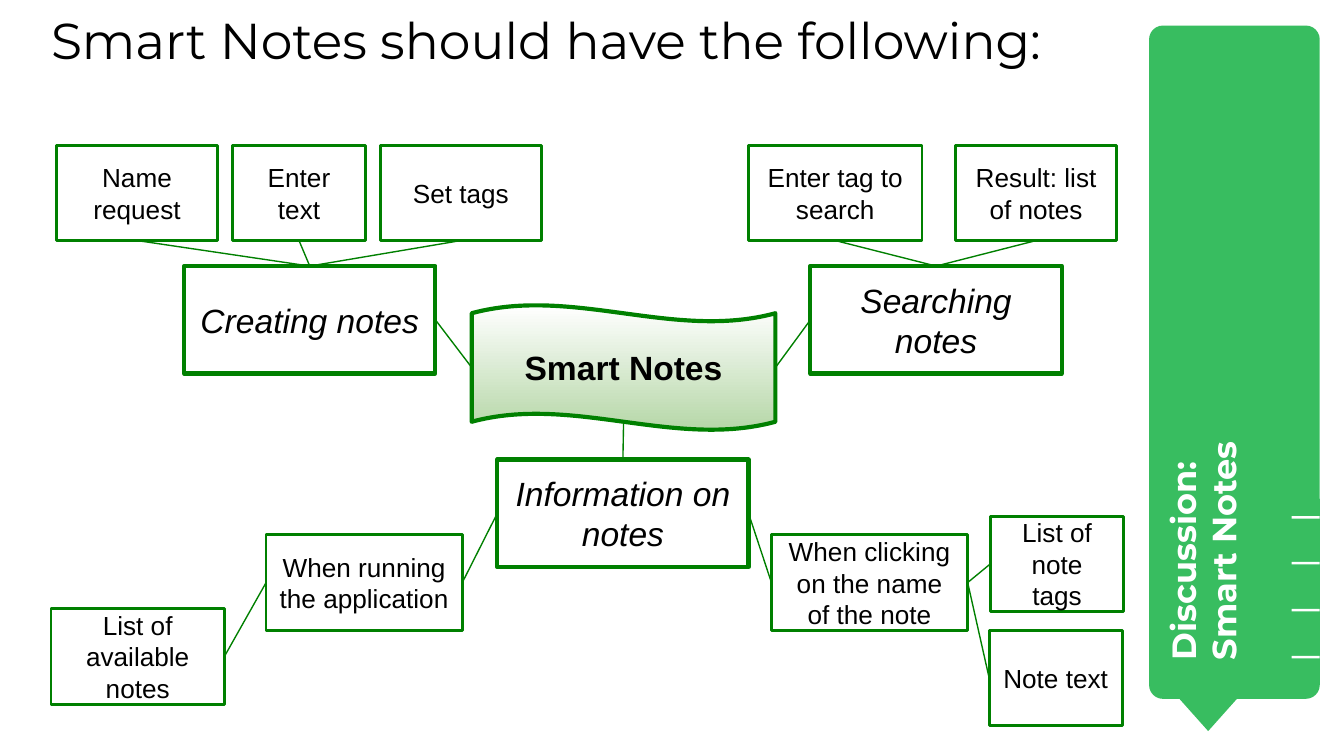
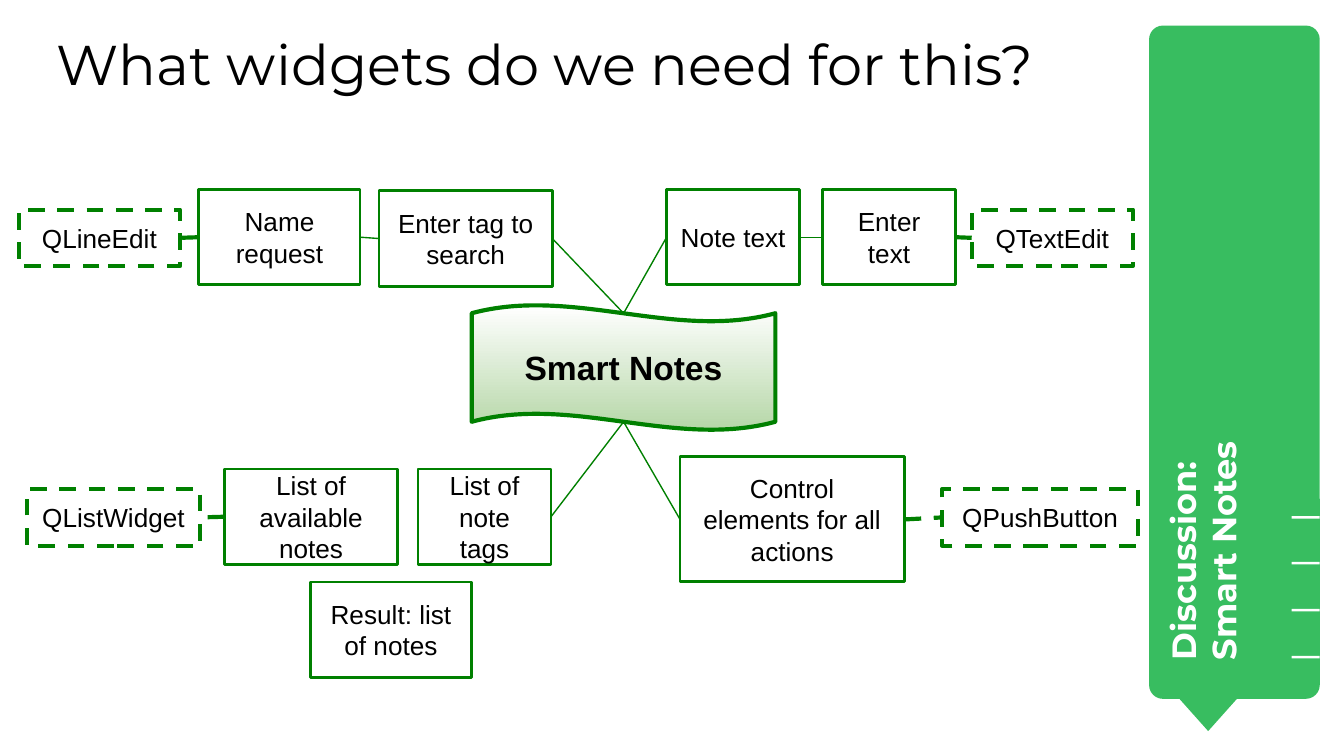
from collections import namedtuple
from dataclasses import dataclass

from lxml import etree
from pptx import Presentation
from pptx.dml.color import RGBColor
from pptx.enum.dml import MSO_LINE
from pptx.enum.shapes import MSO_CONNECTOR, MSO_SHAPE
from pptx.enum.text import MSO_ANCHOR, PP_ALIGN
from pptx.oxml.ns import qn
from pptx.util import Pt

RECT, WAVE = MSO_SHAPE.RECTANGLE, MSO_SHAPE.WAVE
ROUNDED, MERGE = MSO_SHAPE.ROUNDED_RECTANGLE, MSO_SHAPE.FLOWCHART_MERGE
STRAIGHT, DASH = MSO_CONNECTOR.STRAIGHT, MSO_LINE.DASH
LEFT_ALIGN, CENTER = PP_ALIGN.LEFT, PP_ALIGN.CENTER
TOP_ANCHOR, MIDDLE = MSO_ANCHOR.TOP, MSO_ANCHOR.MIDDLE
TOP, LEFT, BOTTOM, RIGHT = range(4)
EMU_PER_PX = 9144


@dataclass(frozen=True)
class Theme:
    band: RGBColor = RGBColor.from_string("38BD60")
    outline: RGBColor = RGBColor.from_string("008000")
    hub_tint: RGBColor = RGBColor.from_string("B6D7A8")
    paper: RGBColor = RGBColor.from_string("FFFFFF")
    ink: RGBColor = RGBColor.from_string("000000")
    heading_font: str = "Montserrat"
    body_font: str = "Arial"
    topic_size: int = 18
    leaf_size: int = 14
    thick: float = 2.25
    medium: float = 1.5
    thin: float = 0.75


THEME = Theme()
Style = namedtuple("Style", "size weight italic dash")
TOPIC = Style(THEME.topic_size, THEME.thick, True, None)
LEAF = Style(THEME.leaf_size, THEME.medium, False, None)
WIDGET = Style(THEME.leaf_size, THEME.thick, False, DASH)

LEAF_HEIGHT, WIDGET_HEIGHT = 71, 42
TOPIC_WIDTH, TOPIC_HEIGHT = 187, 80
NARROW, REGULAR, WIDE, BROAD = 99, 120, 129, 146
WAVE_DEPTH = 0.066


@dataclass(frozen=True)
class Box:
    left: int
    top: int
    width: int
    height: int

    def inner(self, x, y, width, height):
        return Box(self.left + x, self.top + y, width, height)

    def emu(self):
        return [px(v) for v in (self.left, self.top, self.width, self.height)]


SIDEBAR = Box(855, 19, 127, 525)
HUB = Box(351, 227, 226, 93)


def px(length):
    return int(length * EMU_PER_PX)


def set_text(frame, text, size, font=THEME.body_font, color=THEME.ink,
             align=CENTER, anchor=MIDDLE, margin=10, bold=False, italic=False):
    frame.text = text
    frame.word_wrap = True
    frame.vertical_anchor = anchor
    frame.margin_left = frame.margin_right = px(margin)
    frame.margin_top = frame.margin_bottom = px(margin)
    for paragraph in frame.paragraphs:
        paragraph.alignment = align
        for run in paragraph.runs:
            run.font.name = font
            run.font.size = Pt(size)
            run.font.bold = bold
            run.font.italic = italic
            run.font.color.rgb = color


def set_line(line, weight, dash=None):
    line.color.rgb = THEME.outline
    line.width = Pt(weight)
    if dash:
        line.dash_style = dash


def add_solid(shapes, kind, box, color):
    solid = shapes.add_shape(kind, *box.emu())
    solid.shadow.inherit = False
    solid.fill.solid()
    solid.fill.fore_color.rgb = color
    solid.line.fill.background()
    return solid


def add_node(slide, box, text, style=LEAF):
    node = add_solid(slide.shapes, RECT, box, THEME.paper)
    set_line(node.line, style.weight, style.dash)
    set_text(node.text_frame, text, style.size, italic=style.italic)
    return node


def side_point(node, side):
    inset = 0
    if node.auto_shape_type == WAVE and side in (TOP, BOTTOM):
        inset = int(node.height * WAVE_DEPTH)
    center_x = node.left + node.width // 2
    center_y = node.top + node.height // 2
    return {
        TOP: (center_x, node.top + inset),
        LEFT: (node.left, center_y),
        BOTTOM: (center_x, node.top + node.height - inset),
        RIGHT: (node.left + node.width, center_y),
    }[side]


def link(slide, start, start_side, end, end_side, dashed=False):
    connector = slide.shapes.add_connector(
        STRAIGHT, *side_point(start, start_side), *side_point(end, end_side))
    if start.auto_shape_type == RECT or start_side in (LEFT, RIGHT):
        connector.begin_connect(start, start_side)
    connector.end_connect(end, end_side)
    if dashed:
        set_line(connector.line, THEME.thick, DASH)
    else:
        set_line(connector.line, THEME.thin)
    etree.SubElement(connector._element.spPr, qn("a:effectLst"))


def add_sidebar(slide, box):
    banner = slide.shapes.add_group_shape()
    panel = add_solid(banner.shapes, ROUNDED, box.inner(0, 0, box.width, 501), THEME.band)
    panel.adjustments[0] = 0.081
    add_solid(banner.shapes, MERGE, box.inner(11, 488, 66, 37), THEME.band)
    label = slide.shapes.add_textbox(*box.inner(-143, 269, 356, 70).emu())
    label.rotation = 270
    set_text(label.text_frame, "Discussion:\nSmart Notes", THEME.topic_size,
             THEME.heading_font, THEME.paper, LEFT_ALIGN, TOP_ANCHOR, bold=True)
    for index in range(4):
        tick = box.inner(106, 365 + index * 104 // 3, 21, 2)
        add_solid(slide.shapes, RECT, tick, THEME.paper)


def add_title(slide, box, text, size):
    title = slide.shapes.add_textbox(*box.emu())
    set_text(title.text_frame, text, size, THEME.heading_font,
             align=LEFT_ALIGN, anchor=TOP_ANCHOR, margin=0)


def add_hub(slide, box):
    hub = slide.shapes.add_shape(WAVE, *box.emu())
    hub.shadow.inherit = False
    hub.adjustments[0] = WAVE_DEPTH
    hub.adjustments[1] = 0
    hub.fill.gradient()
    hub.fill.gradient_angle = 270
    for stop, position, color in zip(hub.fill.gradient_stops, (0, 1),
                                     (THEME.paper, THEME.hub_tint)):
        stop.position = position
        stop.color.rgb = color
    set_line(hub.line, THEME.thick)
    set_text(hub.text_frame, "Smart Notes", THEME.topic_size, bold=True)
    return hub


def start_slide(deck, title, title_box, title_size):
    slide = deck.slides.add_slide(deck.slide_layouts[6])
    add_sidebar(slide, SIDEBAR)
    add_title(slide, title_box, title, title_size)
    return slide, add_hub(slide, HUB)


def add_topic_branch(slide, box, hub, hub_side, topic_text, topic_x, leaves, gap):
    topic_box = box.inner(topic_x, box.height - TOPIC_HEIGHT, TOPIC_WIDTH, TOPIC_HEIGHT)
    topic = add_node(slide, topic_box, topic_text, TOPIC)
    x = 0
    for text, width in leaves:
        leaf = add_node(slide, box.inner(x, 0, width, LEAF_HEIGHT), text)
        link(slide, topic, TOP, leaf, BOTTOM)
        x += width + gap
    link(slide, hub, hub_side, topic, RIGHT if hub_side == LEFT else LEFT)


def add_information_branch(slide, box, hub):
    def leaf(x, y, width, text):
        return add_node(slide, box.inner(x, y, width, LEAF_HEIGHT), text)

    topic = add_node(slide, box.inner(332, 0, TOPIC_WIDTH, TOPIC_HEIGHT),
                     "Information on notes", TOPIC)
    running = leaf(160, 56, BROAD, "When running the application")
    available = leaf(0, 111, WIDE, "List of available notes")
    clicking = leaf(536, 56, BROAD, "When clicking on the name of the note")
    tags = leaf(699, 42, NARROW, "List of note tags")
    note_text = leaf(698, 127, NARROW, "Note text")
    link(slide, hub, BOTTOM, topic, TOP)
    link(slide, topic, LEFT, running, RIGHT)
    link(slide, running, LEFT, available, RIGHT)
    link(slide, topic, RIGHT, clicking, LEFT)
    for detail in (tags, note_text):
        link(slide, clicking, RIGHT, detail, LEFT)


def add_widget_chain(slide, box, hub, hub_side, outward, steps, widget, loose_step=None):
    inward = RIGHT if outward == LEFT else LEFT
    previous = None
    for text, x, y, width, height in steps:
        step = add_node(slide, box.inner(x, y, width, height), text)
        if previous is None:
            link(slide, hub, hub_side, step, inward)
        elif text != loose_step:
            link(slide, previous, outward, step, inward)
        previous = step
    name, x, y, width = widget
    widget_node = add_node(slide, box.inner(x, y, width, WIDGET_HEIGHT), name, WIDGET)
    link(slide, previous, outward, widget_node, inward, dashed=True)


def build_features(deck):
    slide, hub = start_slide(deck, "Smart Notes should have the following:",
                             Box(38, 7, 784, 71), 27)
    add_topic_branch(slide, Box(42, 108, 362, 170), hub, LEFT, "Creating notes", 95,
                     [("Name request", REGULAR), ("Enter\ntext", NARROW),
                      ("Set tags", REGULAR)], 11)
    add_topic_branch(slide, Box(557, 108, 274, 170), hub, RIGHT, "Searching notes", 46,
                     [("Enter tag to search", WIDE),
                      ("Result: list of notes", REGULAR)], 25)
    add_information_branch(slide, Box(38, 342, 798, 198), hub)


def build_widgets(deck):
    slide, hub = start_slide(deck, "What widgets do we need for this?",
                             Box(42, 22, 784, 71), 30)
    add_widget_chain(slide, Box(14, 141, 397, 72), hub, TOP, LEFT,
                     [("Enter tag to search", 268, 1, WIDE, LEAF_HEIGHT),
                      ("Name request", 134, 0, REGULAR, LEAF_HEIGHT)],
                     ("QLineEdit", 0, 15, REGULAR))
    add_widget_chain(slide, Box(496, 141, 347, 71), hub, TOP, RIGHT,
                     [("Note text", 0, 0, NARROW, LEAF_HEIGHT),
                      ("Enter text", 116, 0, NARROW, LEAF_HEIGHT)],
                     ("QTextEdit", 227, 15, REGULAR))
    lists = Box(20, 349, 390, 155)
    add_widget_chain(slide, lists, hub, BOTTOM, LEFT,
                     [("List of note tags", 291, 0, NARROW, LEAF_HEIGHT),
                      ("List of available notes", 147, 0, WIDE, LEAF_HEIGHT)],
                     ("QListWidget", 0, 15, WIDE),
                     loose_step="List of available notes")
    add_node(slide, lists.inner(211, 84, REGULAR, LEAF_HEIGHT), "Result: list of notes")
    add_widget_chain(slide, Box(506, 340, 341, 93), hub, BOTTOM, RIGHT,
                     [("Control elements for all actions", 0, 0, 167, 93)],
                     ("QPushButton", 195, 24, BROAD))


def main():
    deck = Presentation()
    deck.slide_width = px(1000)
    deck.slide_height = deck.slide_width * 9 // 16
    build_features(deck)
    build_widgets(deck)
    deck.save("out.pptx")


if __name__ == "__main__":
    main()
